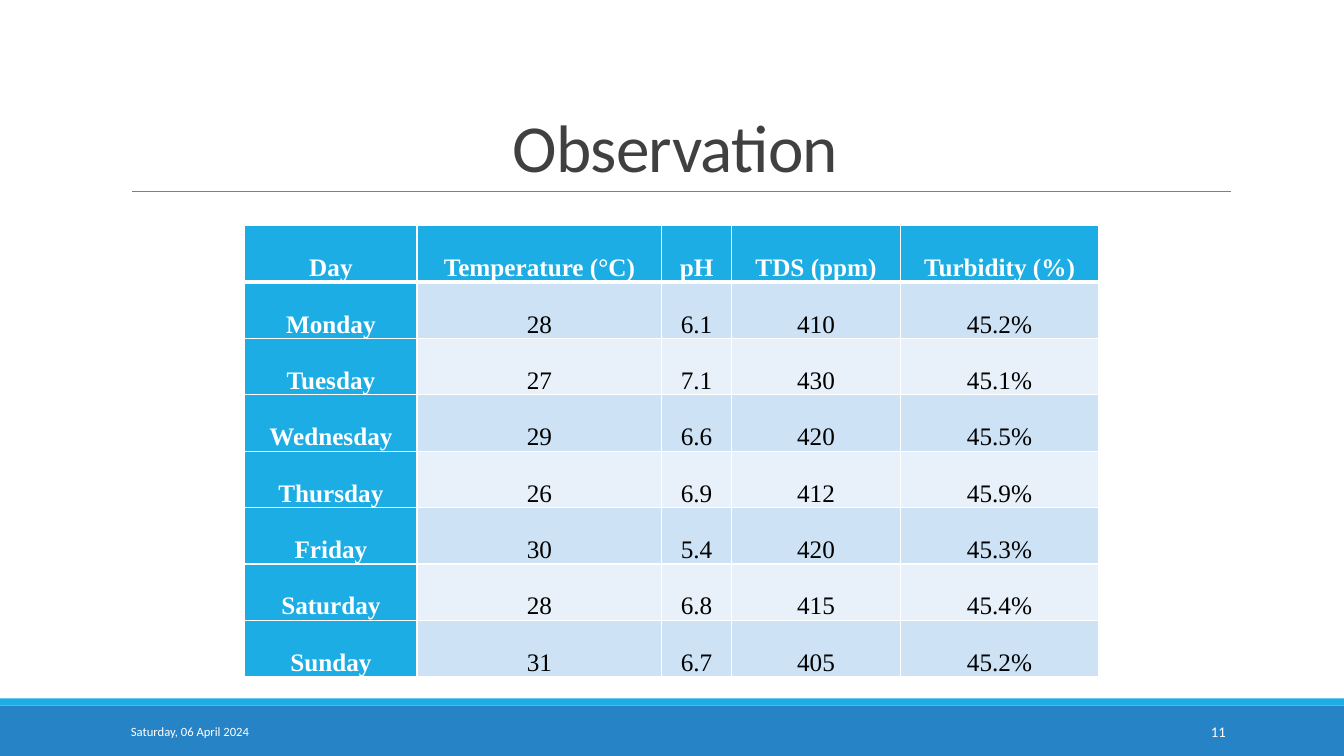
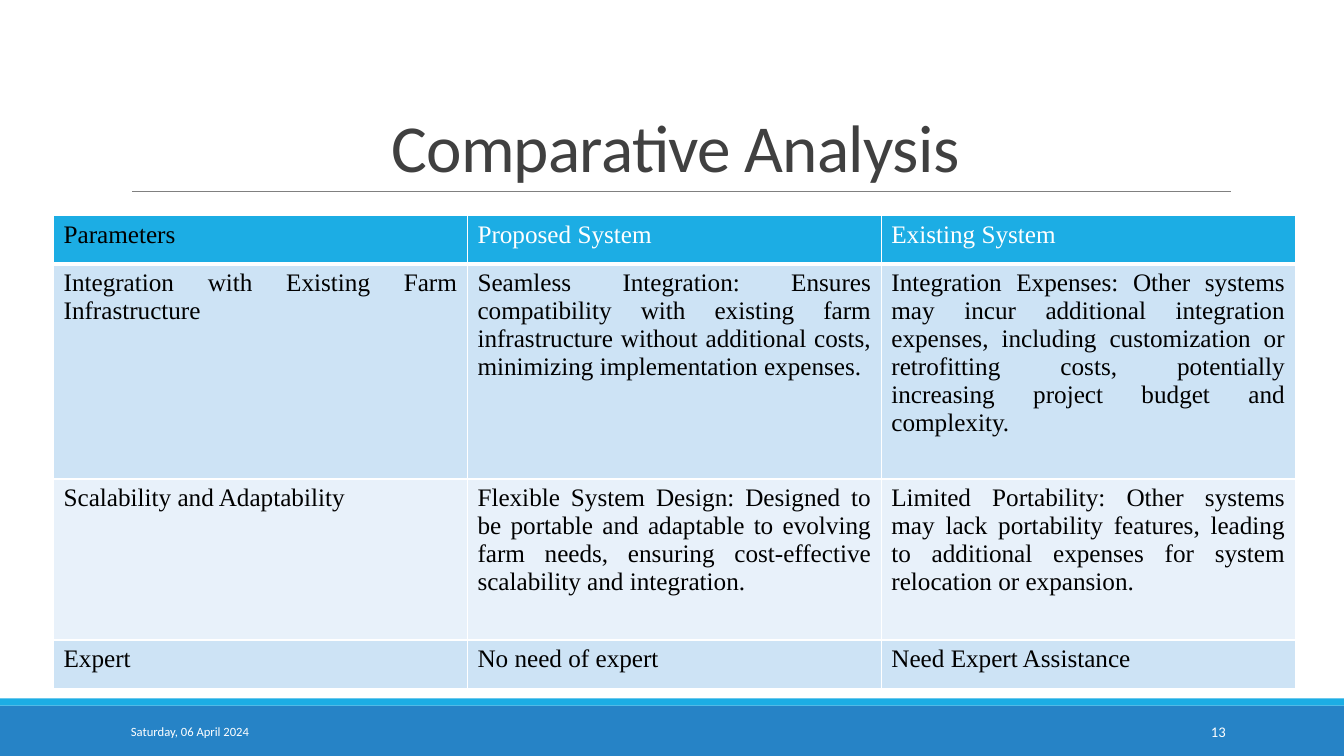
from lxml import etree
from pptx import Presentation
from pptx import util as u
from pptx.dml.color import RGBColor
from pptx.enum import shapes, text
from pptx.oxml import ns

BLUE = RGBColor(0x26, 0x83, 0xC6)
CYAN = RGBColor(0x1C, 0xAD, 0xE4)
BAND_DARK = RGBColor(0xCD, 0xE3, 0xF5)
BAND_LIGHT = RGBColor(0xE8, 0xF1, 0xFA)
GREY = RGBColor(0x80, 0x80, 0x80)
TITLE_GREY = RGBColor(0x40, 0x40, 0x40)
WHITE = RGBColor(0xFF, 0xFF, 0xFF)
BLACK = RGBColor(0, 0, 0)

HEADING_FONT = "Calibri"
TABLE_FONT = "Times New Roman"
SLIDE_WIDTH, SLIDE_HEIGHT = 33.87, 19.05
TITLE_ONLY = 5
DATE = "Saturday, 06 April 2024"

OBSERVATIONS = [
    ["Day", "Temperature (°C)", "pH", "TDS (ppm)", "Turbidity (%)"],
    ["Monday", "28", "6.1", "410", "45.2%"],
    ["Tuesday", "27", "7.1", "430", "45.1%"],
    ["Wednesday", "29", "6.6", "420", "45.5%"],
    ["Thursday", "26", "6.9", "412", "45.9%"],
    ["Friday", "30", "5.4", "420", "45.3%"],
    ["Saturday", "28", "6.8", "415", "45.4%"],
    ["Sunday", "31", "6.7", "405", "45.2%"],
]
COMPARISON = [
    ["Parameters", "Proposed System", "Existing System"],
    ["Integration with Existing Farm Infrastructure",
     "Seamless Integration: Ensures compatibility with existing farm infrastructure "
     "without additional costs, minimizing implementation expenses.",
     "Integration Expenses: Other systems may incur additional integration expenses, "
     "including customization or retrofitting costs, potentially increasing project "
     "budget and complexity."],
    ["Scalability and Adaptability",
     "Flexible System Design: Designed to be portable and adaptable to evolving farm "
     "needs, ensuring cost-effective scalability and integration.",
     "Limited Portability: Other systems may lack portability features, leading to "
     "additional expenses for system relocation or expansion."],
    ["Expert", "No need of expert", "Need Expert Assistance"],
]


def cm_box(*lengths):
    return [u.Cm(length) for length in lengths]


def write_text(frame, words, *, size, color, font=HEADING_FONT, bold=False,
               align=text.PP_ALIGN.LEFT, line_spacing=None, space_after=None,
               tracking=None):
    """Fill a text frame with one formatted paragraph; tracking is in 1/100 pt."""
    frame.word_wrap = True
    paragraph = frame.paragraphs[0]
    paragraph.alignment = align
    if line_spacing is not None:
        paragraph.line_spacing = line_spacing
    if space_after is not None:
        paragraph.space_after = u.Pt(space_after)
    run = paragraph.add_run()
    run.text = words
    run.font.name = font
    run.font.size = u.Pt(size)
    run.font.bold = bold
    run.font.color.rgb = color
    if tracking is not None:
        run.font._element.set("spc", str(tracking))


def add_band(slide, top, height, color):
    band = slide.shapes.add_shape(shapes.MSO_SHAPE.RECTANGLE,
                                  *cm_box(0, top, SLIDE_WIDTH, height))
    band.shadow.inherit = False
    band.fill.solid()
    band.fill.fore_color.rgb = color
    band.line.fill.background()


def add_footer_text(slide, left, width, words, **style):
    box = slide.shapes.add_textbox(*cm_box(left, 17.93, width, 1.02))
    box.text_frame.vertical_anchor = text.MSO_ANCHOR.MIDDLE
    write_text(box.text_frame, words, color=WHITE, **style)


def add_footer(slide, number):
    add_band(slide, 17.78, 1.27, BLUE)
    add_band(slide, 17.6, 0.18, CYAN)
    add_footer_text(slide, 3.05, 6.86, DATE, size=9)
    add_footer_text(slide, 27.51, 3.63, str(number), size=10.5,
                    align=text.PP_ALIGN.RIGHT)


def add_title(slide, words):
    title = slide.shapes.title
    title.left, title.top, title.width, title.height = cm_box(3.05, 0.79, 27.94, 4.04)
    title.text_frame.auto_size = text.MSO_AUTO_SIZE.NONE
    title.text_frame.vertical_anchor = text.MSO_ANCHOR.BOTTOM
    write_text(title.text_frame, words, size=48, color=TITLE_GREY,
               align=text.PP_ALIGN.CENTER, line_spacing=0.85, tracking=-50)
    rule = slide.shapes.add_connector(shapes.MSO_CONNECTOR.STRAIGHT,
                                      *cm_box(3.33, 4.83, 31.01, 4.83))
    rule.line.color.rgb = GREY
    rule.line.width = u.Pt(0.5)
    etree.SubElement(rule._element.spPr, ns.qn("a:effectLst"))


def set_borders(cell, **widths):
    """Draw white borders; the sides L, R, T and B take widths in points."""
    properties = cell._tc.get_or_add_tcPr()
    for side, width in widths.items():
        line = etree.SubElement(properties, ns.qn(f"a:ln{side}"), w=str(u.Pt(width)))
        fill = etree.SubElement(line, ns.qn("a:solidFill"))
        etree.SubElement(fill, ns.qn("a:srgbClr"), val=str(WHITE))


def add_banded_table(slide, left, top, column_widths, row_heights, rows, *,
                     header_column=False, bold_headers=False, corner_color=WHITE,
                     anchor=text.MSO_ANCHOR.TOP, margins=None, **style):
    frame = slide.shapes.add_table(
        len(rows), len(column_widths),
        *cm_box(left, top, sum(column_widths), sum(row_heights)))
    table = frame.table
    for column, width in zip(table.columns, column_widths):
        column.width = u.Cm(width)
    for row, height in zip(table.rows, row_heights):
        row.height = u.Cm(height)
    for i, row in enumerate(rows):
        for j, words in enumerate(row):
            cell = table.cell(i, j)
            is_header = i == 0 or (header_column and j == 0)
            set_borders(cell, L=1, R=1, T=3 if i == 1 else 1, B=3 if i == 0 else 1)
            cell.fill.solid()
            band = BAND_DARK if i % 2 else BAND_LIGHT
            cell.fill.fore_color.rgb = CYAN if is_header else band
            cell.vertical_anchor = anchor
            if margins:
                (cell.margin_left, cell.margin_top,
                 cell.margin_right, cell.margin_bottom) = cm_box(*margins)
            color = WHITE if is_header else BLACK
            write_text(cell.text_frame, words, size=18, font=TABLE_FONT,
                       color=corner_color if i == j == 0 else color,
                       bold=bold_headers and is_header, **style)


def add_base_slide(presentation, title, number):
    slide = presentation.slides.add_slide(presentation.slide_layouts[TITLE_ONLY])
    add_footer(slide, number)
    add_title(slide, title)
    return slide


def add_observation_slide(presentation):
    slide = add_base_slide(presentation, "Observation", 11)
    add_banded_table(slide, 6.17, 5.69, [4.34, 6.17, 1.75, 4.27, 4.98],
                     [1.42] * len(OBSERVATIONS), OBSERVATIONS,
                     header_column=True, bold_headers=True,
                     anchor=text.MSO_ANCHOR.BOTTOM, margins=(0.18, 0, 0.18, 0),
                     align=text.PP_ALIGN.CENTER, line_spacing=1.07, space_after=8)


def add_comparison_slide(presentation):
    slide = add_base_slide(presentation, "Comparative Analysis", 13)
    add_banded_table(slide, 1.35, 5.44, [10.43] * 3, [1.22, 5.41, 4.06, 1.22],
                     COMPARISON, corner_color=BLACK, align=text.PP_ALIGN.JUSTIFY)


def main():
    presentation = Presentation()
    presentation.slide_width, presentation.slide_height = cm_box(SLIDE_WIDTH, SLIDE_HEIGHT)
    add_observation_slide(presentation)
    add_comparison_slide(presentation)
    presentation.save("out.pptx")


if __name__ == "__main__":
    main()
